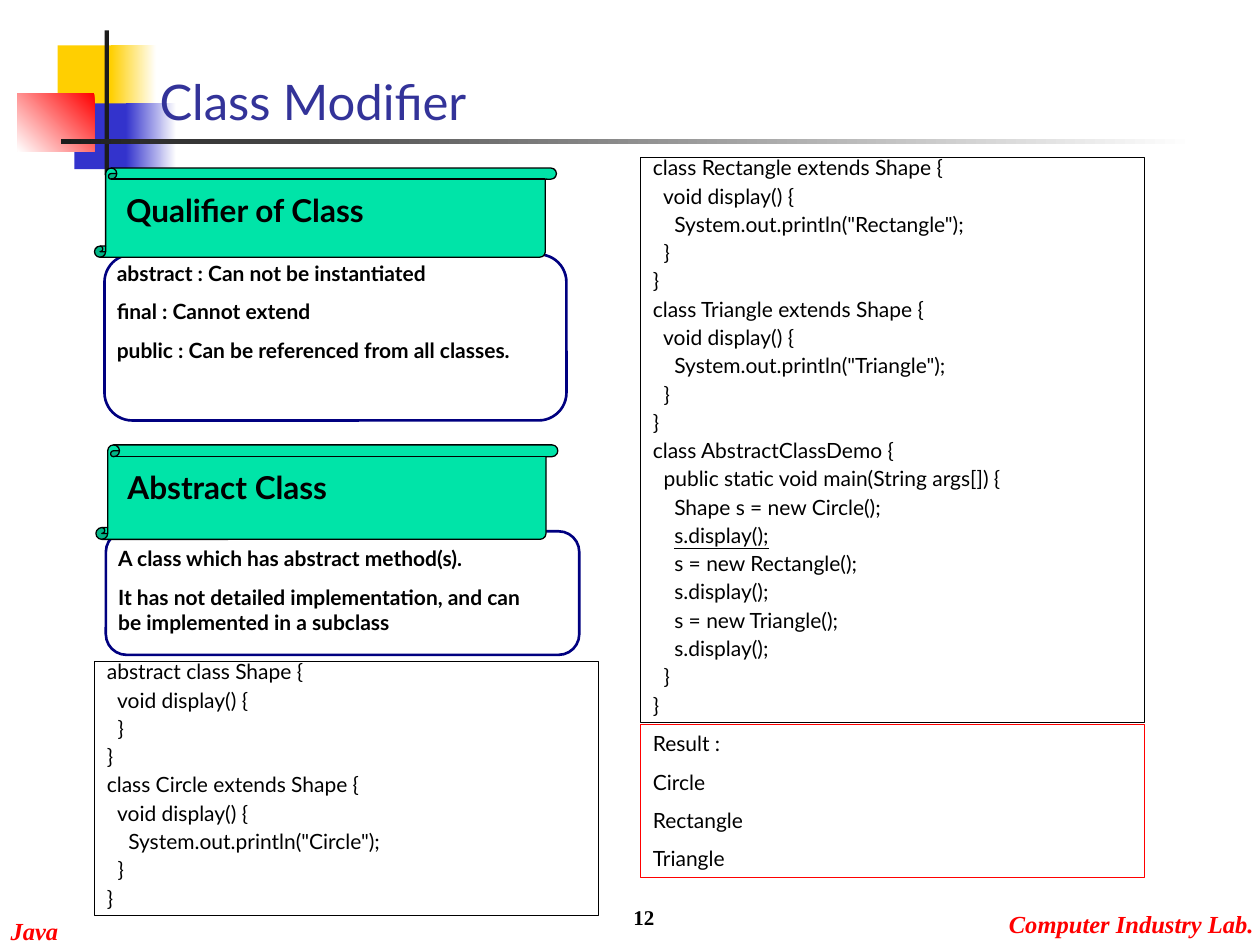
from dataclasses import dataclass

from pptx import Presentation
from pptx import util as u
from pptx.dml.color import RGBColor
from pptx.enum import shapes, text

Pt = u.Pt
KIND = shapes.MSO_SHAPE


@dataclass(frozen=True)
class Theme:
    body_font: str = "Lato"
    footer_font: str = "Times New Roman"
    title_size: float = 28
    heading_size: float = 18
    footer_size: float = 14
    body_size: float = 12
    title: str = "333399"
    ink: str = "000000"
    bar: str = "1C1C1C"
    white: str = "FFFFFF"
    yellow: str = "FFCF01"
    blue: str = "3333CC"
    red: str = "FF0000"
    navy: str = "000080"
    green: str = "00E4A8"


THEME = Theme()

SHAPE_AND_CIRCLE = """abstract class Shape {
  void display() {
  }
}
class Circle extends Shape {
  void display() {
    System.out.println("Circle");
  }
}"""

SHAPES_AND_DEMO = """class Rectangle extends Shape {
  void display() {
    System.out.println("Rectangle");
  }
}
class Triangle extends Shape {
  void display() {
    System.out.println("Triangle");
  }
}
class AbstractClassDemo {
  public static void main(String args[]) {
    Shape s = new Circle();
    s.display();
    s = new Rectangle();
    s.display();
    s = new Triangle();
    s.display();
  }
}"""


def rgb(value):
    return RGBColor.from_string(value)


def add_block(page, box, kind=KIND.RECTANGLE, fill=None, line=None, weight=0.75):
    """A preset shape; fill is a colour or a (start, end, angle) gradient."""
    block = page.shapes.add_shape(kind, *map(Pt, box))
    block.shadow.inherit = False
    if isinstance(fill, tuple):
        start, end, angle = fill
        block.fill.gradient()
        block.fill.gradient_angle = angle
        for stop, colour in zip(block.fill.gradient_stops, (start, end)):
            stop.color.rgb = rgb(colour)
    elif fill:
        block.fill.solid()
        block.fill.fore_color.rgb = rgb(fill)
    else:
        block.fill.background()
    if line:
        block.line.color.rgb = rgb(line)
        block.line.width = Pt(weight)
    else:
        block.line.fill.background()
    return block


def write(shape, lines, size=THEME.body_size, font=THEME.body_font, colour=THEME.ink,
          bold=False, italic=False, gap=7.5, spacing=None, underlined=None,
          align=text.PP_ALIGN.LEFT, anchor=text.MSO_ANCHOR.TOP, wrap=True):
    """Fill a shape with one paragraph per line; one line index may be underlined."""
    frame = shape.text_frame
    frame.word_wrap = wrap
    frame.vertical_anchor = anchor
    if not wrap:
        frame.auto_size = text.MSO_AUTO_SIZE.SHAPE_TO_FIT_TEXT
        frame.margin_left = frame.margin_right = 0
    for index, line in enumerate(lines):
        para = frame.add_paragraph() if index else frame.paragraphs[0]
        para.alignment = align
        para.space_before = Pt(gap if index else 0)
        if spacing:
            para.line_spacing = spacing
        words = line.lstrip()
        indent = line[:len(line) - len(words)]
        for part in filter(None, (indent, words)):
            span = para.add_run()
            span.text = part
            span.font.size = Pt(size)
            span.font.name = font
            span.font.color.rgb = rgb(colour)
            span.font.bold = bold
            span.font.italic = italic
            if index == underlined and part == words:
                span.font.underline = True


def add_text(page, box, lines, **style):
    write(page.shapes.add_textbox(*map(Pt, box)), lines, **style)


def add_ornament(page, box):
    """Coloured squares and crossing bars behind the title."""
    left, top, width, height = box
    square = 37.5
    row = top + 8.6
    # Squares, solid then fading to the right
    for x, y, solid, fade_x, fade, colour in (
            (23, row, 34.5, 53.3, 26, THEME.yellow),
            (32.5, row + 33.2, 33, 62, 28.8, THEME.blue)):
        add_block(page, (left + x, y, solid, square), fill=colour)
        add_block(page, (left + fade_x, y, fade, square), fill=(colour, THEME.white, 0))
    add_block(page, (left, top + 36, 44, 33.2), fill=(THEME.red, THEME.white, 225))
    # Bars
    add_block(page, (left + 49.8, top, 2.5, height), fill=THEME.bar)
    add_block(page, (left + 24.8, top + 62.4, width - 24.8, 2.5),
              fill=(THEME.bar, THEME.white, 0))


def add_title(page, box, words):
    title = page.shapes.title
    title.left, title.top, title.width, title.height = map(Pt, box)
    write(title, [words], size=THEME.title_size, colour=THEME.title,
          anchor=text.MSO_ANCHOR.BOTTOM)
    # Bring the title in front of the ornament
    title.element.getparent().append(title.element)


def add_section(page, box, heading, lines, scroll_height, text_drop=0):
    """A rounded frame of notes with a scroll heading over its top edge."""
    left, top, width, height = box
    frame_left, frame_top, frame_width = left + 5.7, top + 49.4, width - 6
    frame_height = height - 49.6
    frame = add_block(page, (frame_left, frame_top, frame_width, frame_height),
                      KIND.ROUNDED_RECTANGLE, line=THEME.navy, weight=1.5)
    frame.adjustments[0] = 0.167
    add_text(page, (frame_left, frame_top + text_drop, frame_width - 18,
                    frame_height - 14), lines, bold=True)
    # Heading
    add_block(page, (left, top, 264, scroll_height), KIND.VERTICAL_SCROLL,
              fill=THEME.green, line=THEME.ink)
    add_text(page, (left + 11, top + 9.6, 235, 29), [heading],
             size=THEME.heading_size, bold=True)


def add_code(page, box, code, underlined=None):
    write(add_block(page, box, line=THEME.ink), code.split("\n"),
          spacing=0.6, underlined=underlined)


def add_result(page, box, lines):
    write(add_block(page, box, line=THEME.red), lines)


def add_footer(page, box):
    left, top, width, height = box
    style = dict(font=THEME.footer_font, bold=True)
    for x, y, wide, label in ((left, top + 20.8, 29, "Java"),
                              (left + width - 142.5, top + 17, 142.5,
                               "Computer Industry Lab.")):
        add_text(page, (x, y, wide, 24), [label], size=THEME.footer_size,
                 colour=THEME.red, italic=True, wrap=False, **style)
    # Page number
    add_text(page, (left + 225, top, 150, height), ["12"],
             align=text.PP_ALIGN.RIGHT, anchor=text.MSO_ANCHOR.BOTTOM, **style)


def main():
    deck = Presentation()
    deck.slide_width, deck.slide_height = Pt(720), Pt(540)
    page = deck.slides.add_slide(deck.slide_layouts[5])

    add_ornament(page, (10, 17.3, 672.8, 82.8))
    add_title(page, (84, 36, 342, 42), "Class Modifier")
    add_section(page, (54, 96, 270, 144.5), "Qualifier of Class",
                ["abstract : Can not be instantiated",
                 "final : Cannot extend",
                 "public : Can be referenced from all classes."], scroll_height=51)
    add_code(page, (366, 90, 288, 323), SHAPES_AND_DEMO, underlined=13)
    add_result(page, (366, 414, 288, 87.5), ["Result :", "Circle", "Rectangle", "Triangle"])
    add_code(page, (54, 378, 288, 145), SHAPE_AND_CIRCLE)
    add_section(page, (54.8, 254.2, 276.5, 120.2), "Abstract Class",
                ["A class which has abstract method(s).",
                 "It has not detailed implementation, and can be implemented in a subclass"],
                scroll_height=54, text_drop=4.8)
    add_footer(page, (6, 499, 713, 36))

    deck.save("out.pptx")


if __name__ == "__main__":
    main()
